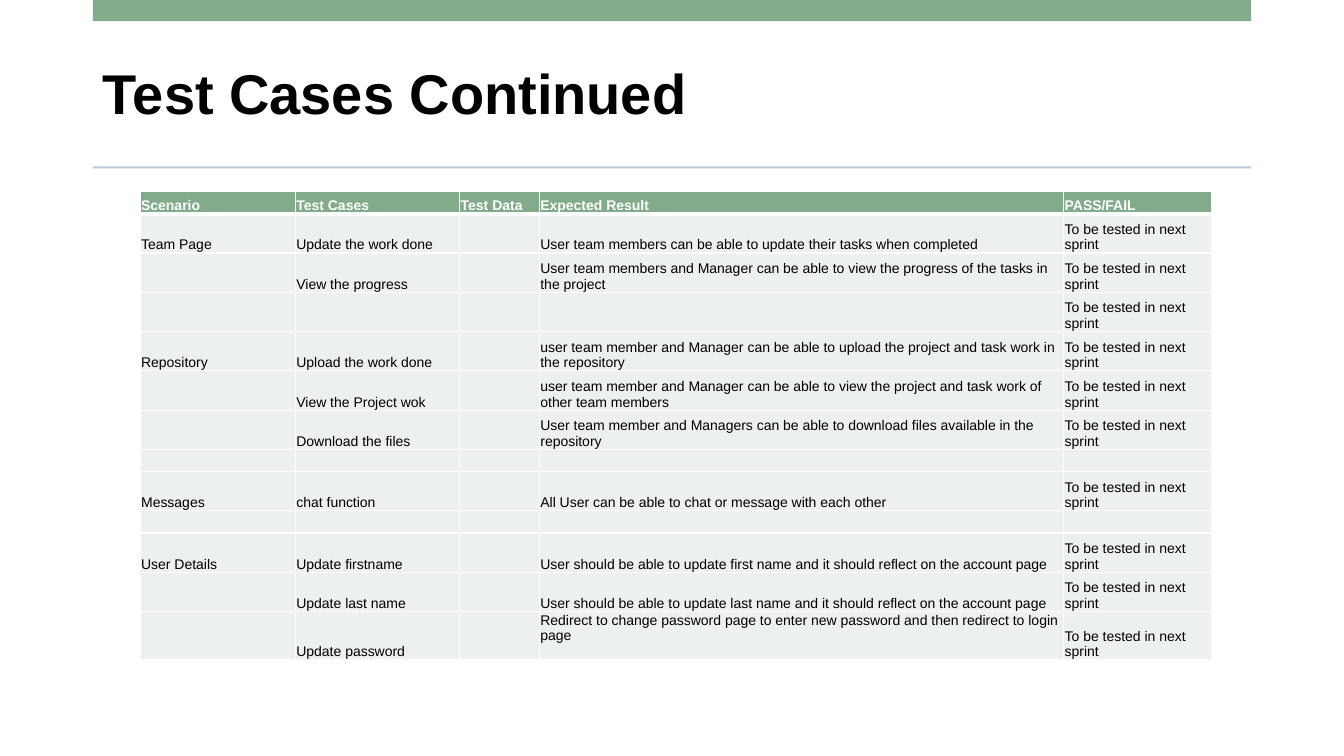
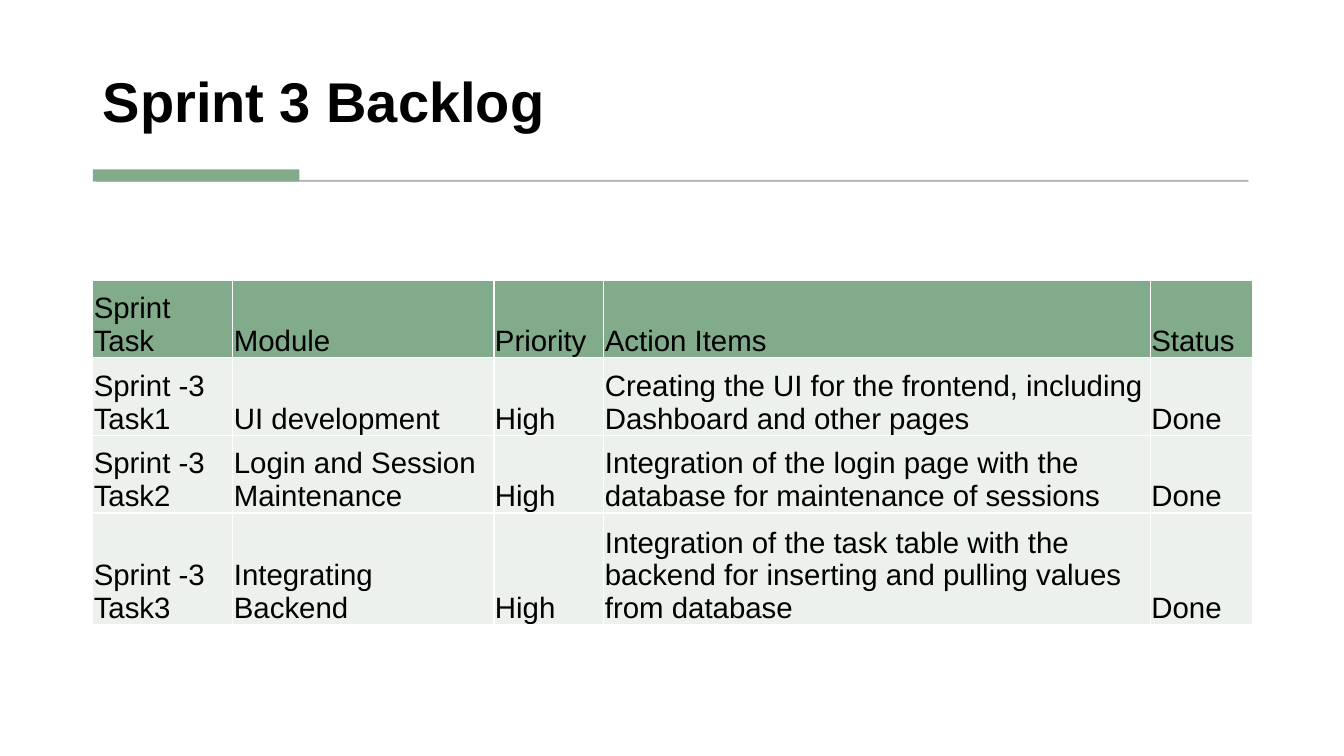
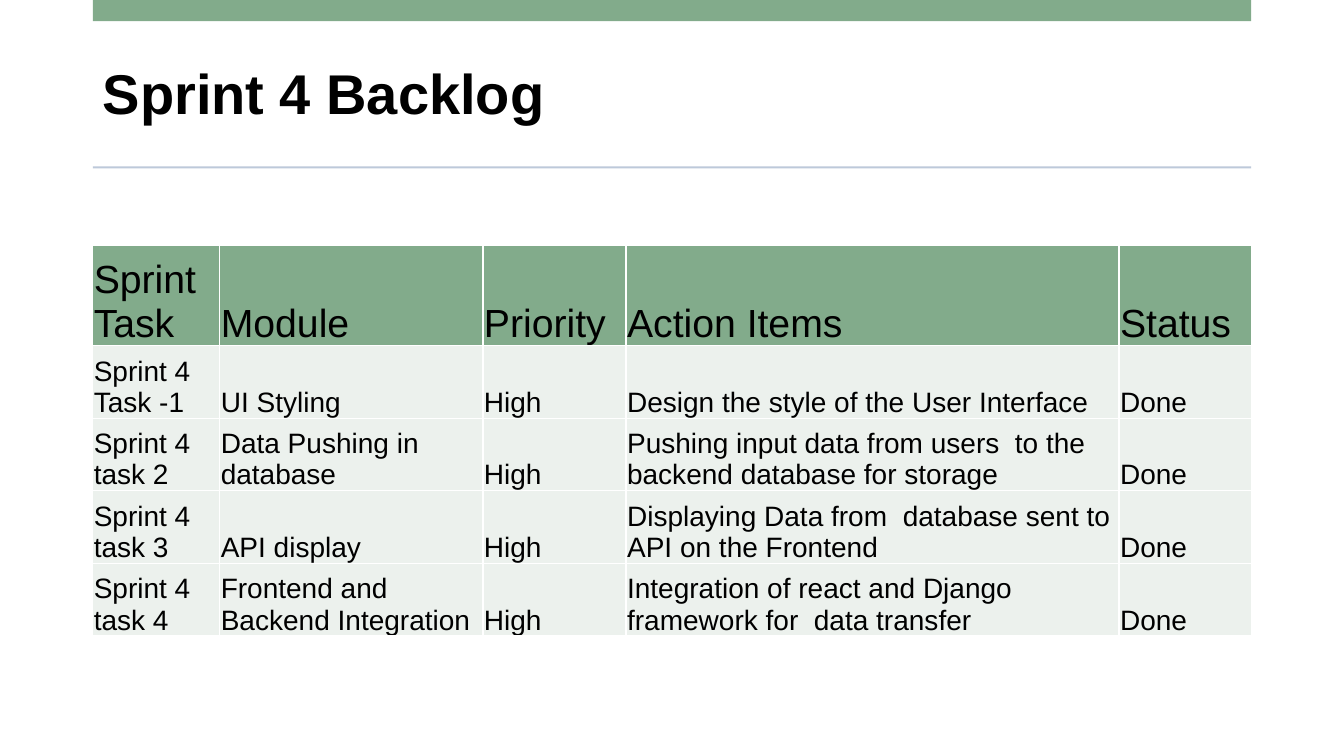
import pptx
import pptx.util
import pptx.dml.color
import pptx.enum.shapes
import pptx.enum.text
import pptx.oxml
import pptx.oxml.ns
from lxml import etree

RGB = pptx.dml.color.RGBColor
ANCHOR = pptx.enum.text.MSO_ANCHOR
GREEN = RGB(0x82, 0xAB, 0x8B)
PALE_GREEN = RGB(0xEC, 0xF1, 0xED)
BLUE_GREY = RGB(0xBD, 0xC9, 0xDA)
GREY = RGB(0x59, 0x59, 0x59)
WHITE = RGB(0xFF, 0xFF, 0xFF)
BLACK = RGB(0, 0, 0)
FONT = "Arial"
EMU_PER_PX = 9144  # 100 px to the inch
LEFT, WIDTH = 92, 1149

PENDING = "To be tested in next sprint"
TEST_HEADER = ("Scenario", "Test Cases", "Test Data", "Expected Result", "PASS/FAIL")
TEST_CASES = [
    ("Team Page", "Update the work done",
     "User team members can be able to update their tasks when completed", PENDING),
    ("", "View the progress",
     "User team members and Manager can be able to view the progress of the tasks in the project",
     PENDING),
    ("", "", "", PENDING),
    ("Repository", "Upload the work done",
     "user team member and Manager can be able to upload the project and task work in the repository",
     PENDING),
    ("", "View the Project wok",
     "user team member and Manager can be able to view the project and task work of other team members",
     PENDING),
    ("", "Download the files",
     "User team member and Managers can be able to download files available in the repository",
     PENDING),
    ("", "", "", ""),
    ("Messages", "chat function",
     "All User can be able to chat or message with each other", PENDING),
    ("", "", "", ""),
    ("User Details", "Update firstname",
     "User should be able to update first name and it should reflect on the account page", PENDING),
    ("", "Update last name",
     "User should be able to update last name and it should reflect on the account page", PENDING),
    ("", "Update password",
     "Redirect to change password page to enter new password and then redirect to login page",
     PENDING),
]

BACKLOG_HEADER = ("Sprint Task", "Module", "Priority", "Action Items", "Status")
SPRINT_3 = [
    ("Sprint -3 Task1", "UI development",
     "Creating the UI for the frontend, including Dashboard and other pages"),
    ("Sprint -3 Task2", "Login and Session Maintenance",
     "Integration of the login page with the database for maintenance of sessions"),
    ("Sprint -3 Task3", "Integrating Backend",
     "Integration of the task table with the backend for inserting and pulling values from database"),
]
SPRINT_4 = [
    ("Sprint 4 Task -1", "UI Styling", "Design the style of the User Interface"),
    ("Sprint 4 task 2", "Data Pushing in database",
     "Pushing input data from users  to the backend database for storage"),
    ("Sprint 4 task 3", "API display",
     "Displaying Data from  database sent to API on the Frontend"),
    ("Sprint 4 task 4", "Frontend and Backend Integration",
     "Integration of react and Django framework for  data transfer"),
]


def px(length):
    return pptx.util.Emu(length * EMU_PER_PX)


def style_run(run, size, color, bold=False):
    run.font.name = FONT
    run.font.size = pptx.util.Pt(size)
    run.font.color.rgb = color
    run.font.bold = bold


def add_titled_slide(deck, title, top, height, anchor):
    slide = deck.slides.add_slide(deck.slide_layouts[5])
    heading = slide.shapes.title
    heading.left, heading.top = px(LEFT), px(top)
    heading.width, heading.height = px(WIDTH), px(height)
    frame = heading.text_frame
    frame.text = title
    frame.auto_size = pptx.enum.text.MSO_AUTO_SIZE.NONE
    frame.vertical_anchor = anchor
    paragraph = frame.paragraphs[0]
    paragraph.alignment = pptx.enum.text.PP_ALIGN.LEFT
    paragraph.line_spacing = 0.9
    style_run(paragraph.runs[0], 40, BLACK, bold=True)
    return slide


def add_bar(slide, left, top, width, height, color):
    bar = slide.shapes.add_shape(pptx.enum.shapes.MSO_SHAPE.RECTANGLE,
                                 px(left), px(top), px(width), px(height))
    bar.shadow.inherit = False
    bar.fill.solid()
    bar.fill.fore_color.rgb = color
    bar.line.fill.background()
    return bar


def add_banded_slide(deck, title):
    slide = add_titled_slide(deck, title, 37, 118, ANCHOR.MIDDLE)
    add_bar(slide, LEFT, 0, WIDTH, 21, GREEN)
    add_bar(slide, LEFT, 165, WIDTH, 2, BLUE_GREY)
    return slide


def add_accent_slide(deck, title):
    slide = add_titled_slide(deck, title, 28, 111, ANCHOR.BOTTOM)
    hairline = add_bar(slide, 95, 179, 1143, 1, GREY)
    hairline.line.color.rgb = GREY
    hairline.line.width = pptx.util.Pt(0.75)
    for color in hairline._element.spPr.iter(pptx.oxml.ns.qn("a:srgbClr")):
        etree.SubElement(color, pptx.oxml.ns.qn("a:alpha"), val="30000")
    add_bar(slide, LEFT, 168, 205, 12, GREEN)
    return slide


def set_borders(cell, widths):
    """Draw white borders; widths maps L, R, T and B to points."""
    for side, points in widths.items():
        cell._tc.get_or_add_tcPr().append(pptx.oxml.parse_xml(
            f'<a:ln{side} {pptx.oxml.ns.nsdecls("a")} w="{pptx.util.Pt(points)}">'
            f'<a:solidFill><a:srgbClr val="{WHITE}"/></a:solidFill></a:ln{side}>'))


def fill_cell(cell, text, size, color, bold, background):
    cell.margin_left = cell.margin_right = cell.margin_top = px(1)
    cell.margin_bottom = 0
    cell.vertical_anchor = ANCHOR.BOTTOM
    cell.fill.solid()
    cell.fill.fore_color.rgb = background
    cell.text_frame.text = text
    paragraph = cell.text_frame.paragraphs[0]
    for run in paragraph.runs:
        style_run(run, size, color, bold)
    if not text:  # keeps empty rows from growing to the default size
        etree.SubElement(paragraph._p, pptx.oxml.ns.qn("a:endParaRPr"), sz=str(size * 100))


def add_grid(slide, left, top, columns, heights, rows, size,
             header_size=None, header_color=BLACK, header_bold=False, header_rule=1):
    table = slide.shapes.add_table(len(rows), len(columns), px(left), px(top),
                                   px(sum(columns)), px(sum(heights))).table
    table.horz_banding = False
    for column, width in zip(table.columns, columns):
        column.width = px(width)
    for index, (row, height, texts) in enumerate(zip(table.rows, heights, rows)):
        row.height = px(height)
        borders = {"L": 1, "R": 1,
                   "T": header_rule if index == 1 else 1,
                   "B": header_rule if index == 0 else 1}
        if index == 0:
            look = (header_size or size, header_color, header_bold, GREEN)
        else:
            look = (size, BLACK, False, PALE_GREEN)
        for cell, text in zip(row.cells, texts):
            set_borders(cell, borders)
            fill_cell(cell, text, *look)
    return table


def backlog_rows(tasks):
    return [BACKLOG_HEADER] + [(task, module, "High", action, "Done")
                               for task, module, action in tasks]


def main():
    deck = pptx.Presentation()
    deck.slide_width, deck.slide_height = px(1333), px(750)

    slide = add_banded_slide(deck, "Test Cases Continued")
    rows = [TEST_HEADER] + [(scenario, case, "", expected, status)
                            for scenario, case, expected, status in TEST_CASES]
    heights = [22] + [39 if any(case) else 22 for case in TEST_CASES[:-1]] + [48]
    tests = add_grid(slide, 139, 190, [154, 163, 79, 520, 147], heights, rows, 10,
                     header_color=WHITE, header_bold=True, header_rule=3)
    tests.cell(len(rows) - 1, 3).vertical_anchor = ANCHOR.TOP

    slide = add_accent_slide(deck, "Sprint 3 Backlog")
    add_grid(slide, LEFT, 278, [139, 259, 109, 542, 101], [77, 77, 77, 111],
             backlog_rows(SPRINT_3), 21)

    slide = add_banded_slide(deck, "Sprint 4 Backlog")
    add_grid(slide, LEFT, 243, [126, 261, 142, 489, 131], [100] + [72] * len(SPRINT_4),
             backlog_rows(SPRINT_4), 20, header_size=28)

    deck.save("out.pptx")


if __name__ == "__main__":
    main()
